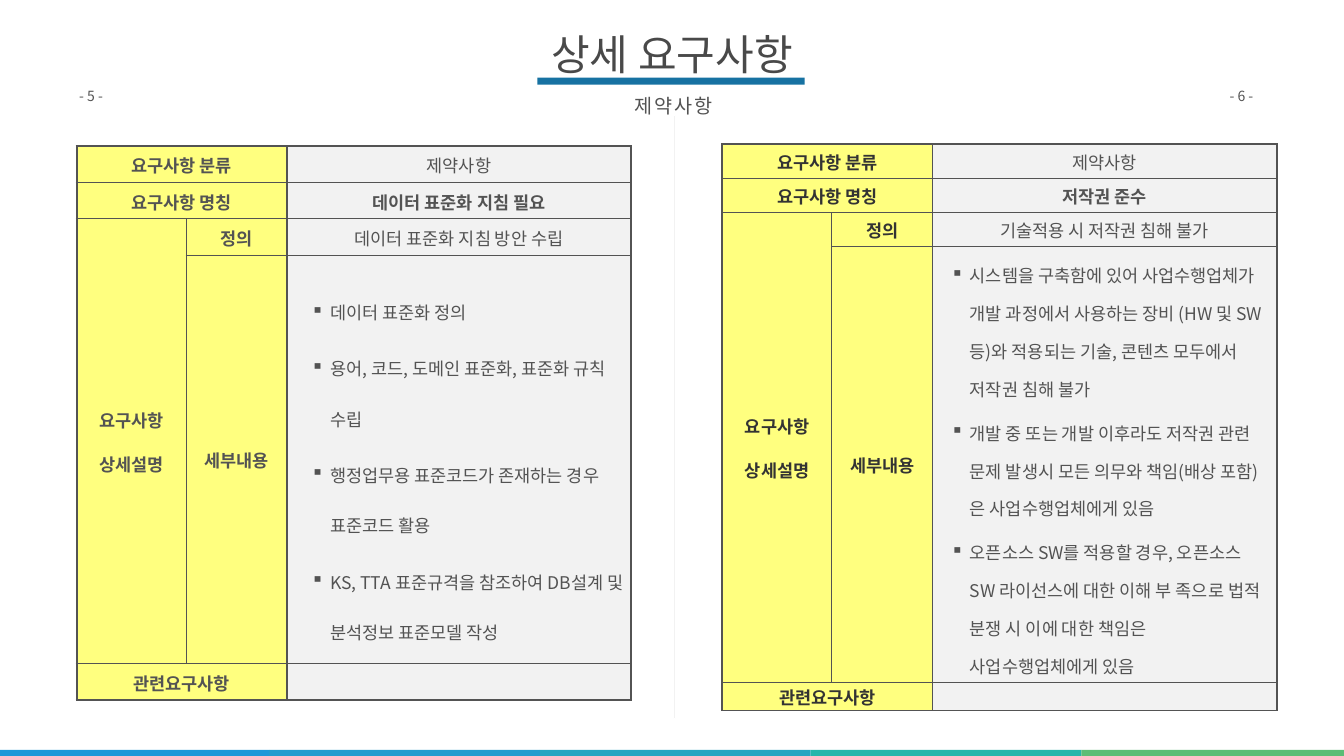
import pptx
import pptx.dml.color
import pptx.enum.shapes
import pptx.enum.text
import pptx.oxml
import pptx.oxml.ns
import pptx.util
from pptx.util import Inches

RGBColor = pptx.dml.color.RGBColor
Align = pptx.enum.text.PP_ALIGN
Anchor = pptx.enum.text.MSO_ANCHOR

FONT = "Noto Sans CJK KR"
GRAY = RGBColor(0x53, 0x53, 0x53)
DARK = RGBColor(0x33, 0x33, 0x33)
TITLE = RGBColor(0x49, 0x49, 0x49)
YELLOW = RGBColor(0xFF, 0xFF, 0x00)
PALE = RGBColor(0xF2, 0xF2, 0xF2)
WHITE = RGBColor(0xFF, 0xFF, 0xFF)
BLUE = RGBColor(0x17, 0x72, 0xA2)
STRIP_COLORS = [
    RGBColor(0x1F, 0x98, 0xD8),
    RGBColor(0x22, 0x9C, 0xCE),
    RGBColor(0x27, 0xA5, 0xC1),
    RGBColor(0x24, 0xB6, 0xAB),
    RGBColor(0x5B, 0xBD, 0x76),
]

COLUMN_WIDTHS = [2.17, 2, 6.83]
LABEL_MARGINS = (0.01, 0.01, 0.01, 0.01)
VALUE_MARGINS = (0.07, 0.07, 0.07, 0.07)
DETAIL_MARGINS = (0.07, 0.07, 0.12, 0.07)
LABELS = [
    (0, 0, 0, 1, ["요구사항 분류"]),
    (1, 0, 1, 1, ["요구사항 명칭"]),
    (2, 0, 3, 0, ["요구사항", "상세설명"]),
    (2, 1, 2, 1, ["정의"]),
    (3, 1, 3, 1, ["세부내용"]),
    (4, 0, 4, 1, ["관련요구사항"]),
]
STANDARD = {
    "left": 1.52, "top": 2.9, "rows": [0.72, 0.72, 0.72, 8.11, 0.72],
    "label_color": GRAY, "indent": 0.79, "line_spacing": 2.0,
    "values": ["제약사항", "데이터 표준화 지침 필요", "데이터 표준화 지침 방안 수립"],
    "details": [
        "데이터 표준화 정의",
        "용어, 코드, 도메인 표준화, 표준화 규칙 수립",
        "행정업무용 표준코드가 존재하는 경우 표준코드 활용",
        "KS, TTA 표준규격을 참조하여 DB설계 및 분석정보 표준모델 작성",
    ],
}
COPYRIGHT = {
    "left": 14.33, "top": 2.86, "rows": [0.67, 0.67, 0.67, 8.64, 0.57],
    "label_color": DARK, "indent": 0.67, "line_spacing": 1.5,
    "values": ["제약사항", "저작권 준수", "기술적용 시 저작권 침해 불가"],
    "details": [
        "시스템을 구축함에 있어 사업수행업체가 개발 과정에서 사용하는 장비 (HW 및 SW 등)와 적용되는 기술, 콘텐츠 모두에서 저작권 침해 불가",
        "개발 중 또는 개발 이후라도 저작권 관련 문제 발생시 모든 의무와 책임(배상 포함)은 사업수행업체에게 있음",
        "오픈소스 SW를 적용할 경우, 오픈소스 SW 라이선스에 대한 이해 부 족으로 법적 분쟁 시 이에 대한 책임은 사업수행업체에게 있음",
    ],
}


def apply_format(target, values):
    for name, value in values.items():
        setattr(target, name, value)


def add_element(parent, tag, **attributes):
    element = parent.makeelement(pptx.oxml.ns.qn(tag), attributes)
    parent.append(element)
    return element


def add_span(para, text, size, color, bold=False):
    span = para.add_run()
    span.text = text
    span.font.color.rgb = color
    apply_format(span.font, {"size": pptx.util.Pt(size), "name": FONT, "bold": bold})
    add_element(span.font._element, "a:ea", typeface=FONT)
    return span


def set_margins(target, margins):
    sides = ("margin_left", "margin_top", "margin_right", "margin_bottom")
    apply_format(target, {side: Inches(margin) for side, margin in zip(sides, margins)})


def add_rectangle(page, left, top, width, height, color, line=None):
    box = page.shapes.add_shape(
        pptx.enum.shapes.MSO_SHAPE.RECTANGLE,
        Inches(left), Inches(top), Inches(width), Inches(height))
    box.shadow.inherit = False
    box.fill.solid()
    box.fill.fore_color.rgb = color
    if line is None:
        box.line.fill.background()
    else:
        box.line.color.rgb = line
        box.line.width = pptx.util.Pt(1)
    return box


def add_text(page, place, text, size, color, margins, para_format=None, **frame_format):
    box = page.shapes.add_textbox(*map(Inches, place))
    frame = box.text_frame
    set_margins(frame, margins)
    apply_format(frame, {
        "word_wrap": True,
        "auto_size": pptx.enum.text.MSO_AUTO_SIZE.SHAPE_TO_FIT_TEXT,
        **frame_format})
    para = frame.paragraphs[0]
    apply_format(para, para_format or {})
    return add_span(para, text, size, color)


def set_borders(cell, widths):
    properties = cell._tc.get_or_add_tcPr()
    for position, (tag, width) in enumerate(widths.items()):
        line = add_element(properties, tag, w=str(pptx.util.Pt(width)))
        fill = add_element(line, "a:solidFill")
        add_element(fill, "a:srgbClr", val=str(GRAY))
        properties.insert(position, line)


def style_cell(cell, row, column, last_row, last_column):
    is_value = column == 2
    cell.fill.solid()
    cell.fill.fore_color.rgb = PALE if is_value else YELLOW
    if not is_value:
        color = cell._tc.tcPr.find(".//" + pptx.oxml.ns.qn("a:srgbClr"))
        add_element(color, "a:alpha", val="50000")
    column_edges = [3, 1, 2.25, 3]
    row_edges = [3, 1, 1, 1, 1, 3]
    set_borders(cell, {
        "a:lnL": column_edges[column], "a:lnR": column_edges[last_column + 1],
        "a:lnT": row_edges[row], "a:lnB": row_edges[last_row + 1]})


def fill_cell(cell, texts, color, bold, margins, para_format, gap=0, indent=None):
    cell.vertical_anchor = Anchor.MIDDLE
    set_margins(cell, margins)
    frame = cell.text_frame
    for index, text in enumerate(texts):
        para = frame.add_paragraph() if index else frame.paragraphs[0]
        if indent:
            properties = para._p.get_or_add_pPr()
            properties.set("marL", str(Inches(indent)))
            properties.set("indent", str(Inches(-0.38)))
            add_element(properties, "a:buChar", char="▪")
        apply_format(para, para_format)
        if index and gap:
            para.space_before = pptx.util.Pt(gap)
        add_span(para, text, 25, color, bold)


def add_requirement_table(page, requirement):
    rows = requirement["rows"]
    table = page.shapes.add_table(
        len(rows), len(COLUMN_WIDTHS), Inches(requirement["left"]), Inches(requirement["top"]),
        Inches(sum(COLUMN_WIDTHS)), Inches(sum(rows))).table
    apply_format(table, {"first_row": False, "horz_banding": False})
    for column, width in zip(table.columns, COLUMN_WIDTHS):
        column.width = Inches(width)
    for row, height in zip(table.rows, rows):
        row.height = Inches(height)

    label_format = {"alignment": Align.CENTER, "line_spacing": 1.07, "space_after": pptx.util.Pt(12)}
    value_format = {**label_format, "space_after": pptx.util.Pt(8)}
    detail_format = {"line_spacing": requirement["line_spacing"], "space_after": pptx.util.Pt(8)}
    for row, column, last_row, last_column, texts in LABELS:
        cell = table.cell(row, column)
        if (row, column) != (last_row, last_column):
            cell.merge(table.cell(last_row, last_column))
        style_cell(cell, row, column, last_row, last_column)
        fill_cell(cell, texts, requirement["label_color"], True, LABEL_MARGINS, label_format, gap=12)
    for row in range(len(rows)):
        style_cell(table.cell(row, 2), row, 2, row, 2)
    for row, text in enumerate(requirement["values"]):
        fill_cell(table.cell(row, 2), [text], GRAY, row == 1, VALUE_MARGINS, value_format)
    fill_cell(table.cell(3, 2), requirement["details"], GRAY, False, DETAIL_MARGINS,
              detail_format, indent=requirement["indent"])


def add_heading(page):
    add_text(page, (10.53, 0.44, 5.6, 1.24), "상세 요구사항", 60, TITLE, (0.12,) * 4,
             {"alignment": Align.CENTER}, vertical_anchor=Anchor.MIDDLE)
    add_rectangle(page, 10.66, 1.54, 5.3, 0.14, BLUE)
    subtitle = add_text(page, (12.33, 1.65, 2.05, 0.78), "제약사항", 28, GRAY,
                        (0.24, 0.12, 0.24, 0.12),
                        {"alignment": Align.CENTER, "line_spacing": 1.2}, word_wrap=False)
    subtitle.font._element.set("spc", "300")


def main():
    deck = pptx.Presentation()
    deck.slide_width, deck.slide_height = Inches(26.66), Inches(15)
    page = deck.slides.add_slide(deck.slide_layouts[6])

    for index, color in enumerate(STRIP_COLORS):
        add_rectangle(page, -0.03 + 5.37 * index, 14.88, 5.37, 0.2, color)
    add_requirement_table(page, STANDARD)
    divider = add_rectangle(page, 7.4, 8.25, 11.96, 0.05, PALE, WHITE)
    divider.rotation = 90
    add_requirement_table(page, COPYRIGHT)
    for left, width, number in [(1.52, 0.94, 5), (24.34, 0.9, 6)]:
        add_text(page, (left, 1.68, width, 0.44), f"- {number} -", 20, GRAY, (0.05,) * 4)
    add_heading(page)
    deck.save("out.pptx")


if __name__ == "__main__":
    main()
